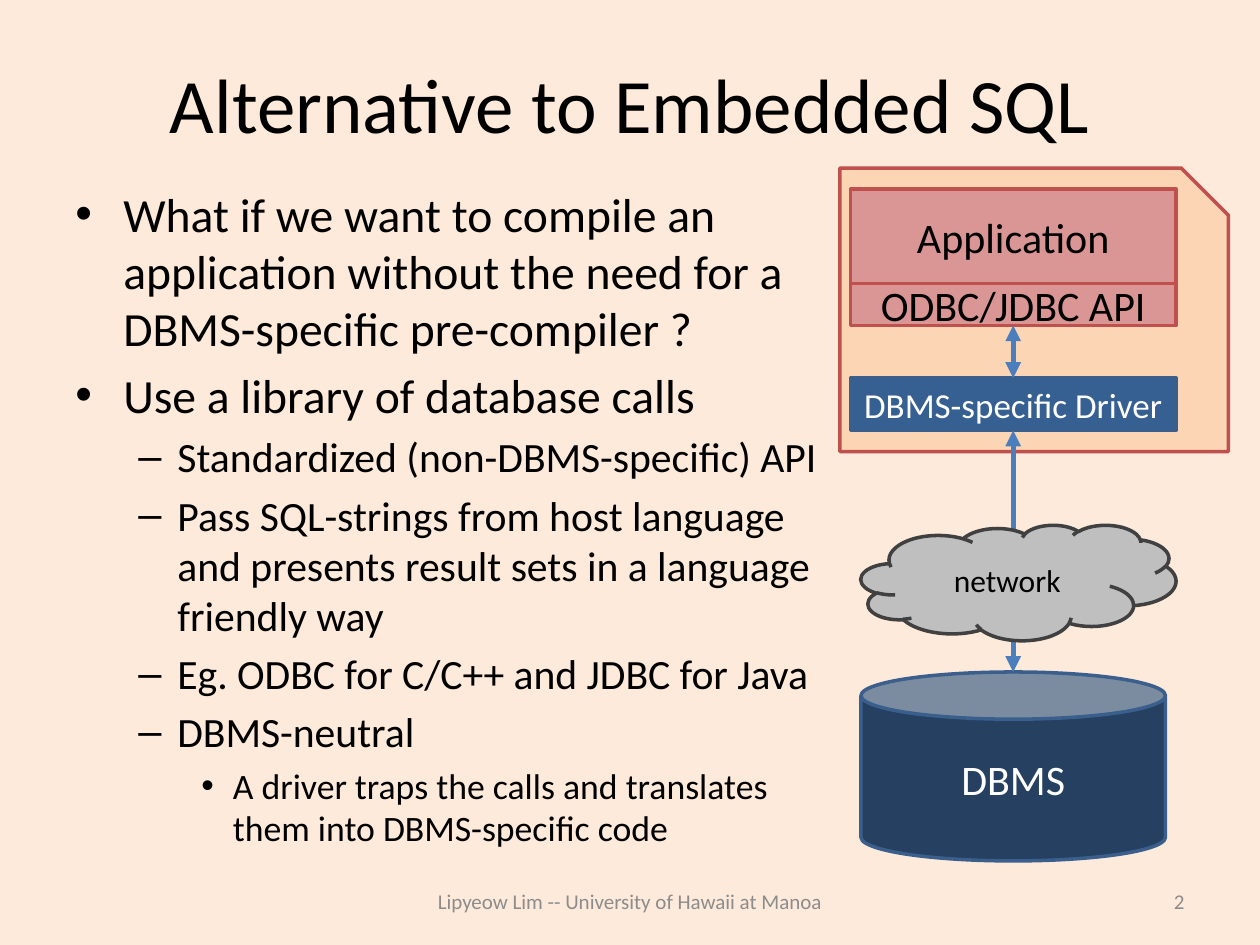
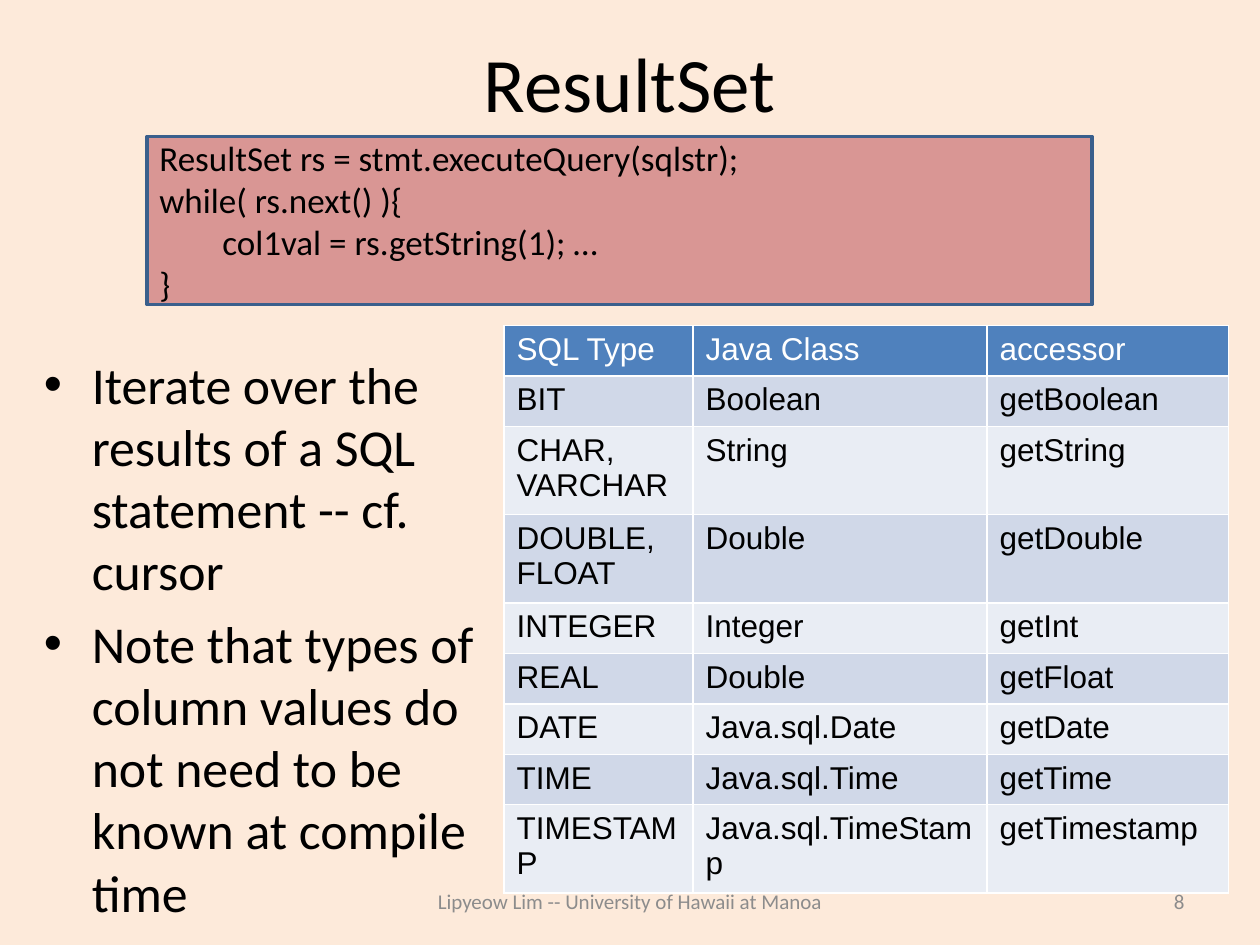
"""Build two slides on database call libraries and result sets."""
from dataclasses import dataclass
from typing import Any, Optional

from lxml import etree
from pptx import Presentation
from pptx import util as u
from pptx.dml.color import RGBColor
from pptx.enum import shapes, text
from pptx.oxml import ns

CREAM = RGBColor(0xFD, 0xEA, 0xDA)
PEACH = RGBColor(0xFC, 0xD5, 0xB5)
ROSE = RGBColor(0xD9, 0x96, 0x94)
RED = RGBColor(0xC0, 0x50, 0x4D)
BLUE = RGBColor(0x37, 0x60, 0x92)
NAVY = RGBColor(0x25, 0x40, 0x61)
EDGE = RGBColor(0x3A, 0x5F, 0x8C)
ARROW = RGBColor(0x4B, 0x7E, 0xBC)
HEAD = RGBColor(0x4F, 0x81, 0xBD)
BANDS = (RGBColor(0xD0, 0xD8, 0xE8), RGBColor(0xE9, 0xED, 0xF4))
SILVER = RGBColor(0xBF, 0xBF, 0xBF)
DARK = RGBColor(0x40, 0x40, 0x40)
GREY = RGBColor(0x8C, 0x8C, 0x8C)
BLACK = RGBColor(0, 0, 0)
WHITE = RGBColor(0xFF, 0xFF, 0xFF)

WIDE, HIGH = u.Inches(10), u.Inches(7.5)
COLS, ROWS = 120, 90
LEFT, MID, RIGHT = text.PP_ALIGN.LEFT, text.PP_ALIGN.CENTER, text.PP_ALIGN.RIGHT
FORM = shapes.MSO_SHAPE
FOOT = "Lipyeow Lim -- University of Hawaii at Manoa"


@dataclass
class Area:
    """A place on the grid, in columns and rows."""
    col: float
    row: float
    wide: float
    high: float

    def place(self) -> tuple[int, int, int, int]:
        """Return left, top, width and height as lengths."""
        return across(self.col), down(self.row), across(self.wide), down(self.high)


@dataclass
class Block:
    """A filled shape with an optional label."""
    form: Any
    area: Area
    fill: RGBColor
    edge: RGBColor
    label: str = ""
    size: float = 24
    ink: RGBColor = BLACK
    align: Any = MID


@dataclass
class Level:
    """The bullet sign and indents of an outline level."""
    sign: str
    left: float
    hang: float
    size: float


def across(cols: float) -> int:
    """Turn grid columns into a length."""
    return u.Emu(round(WIDE * cols / COLS))


def down(rows: float) -> int:
    """Turn grid rows into a length."""
    return u.Emu(round(HIGH * rows / ROWS))


def node(root: Any, tag: str, **attrs: str) -> Any:
    """Add a drawing element to a parent."""
    return etree.SubElement(root, ns.qn(f"a:{tag}"), attrs)


def write(frame: Any, words: str, size: float = 24, ink: RGBColor = BLACK,
          face: str = "Calibri", align: Any = LEFT, anchor: Any = None) -> None:
    """Fill a text frame, one paragraph per line."""
    frame.word_wrap = True
    if anchor is not None:
        frame.vertical_anchor = anchor
    for spot, line in enumerate(words.split("\n")):
        para = frame.paragraphs[0] if spot == 0 else frame.add_paragraph()
        para.alignment = align
        run = para.add_run()
        run.text = line
        font = run.font
        font.size, font.name, font.bold = u.Pt(size), face, False
        font.color.rgb = ink


def label(slide: Any, area: Area, words: str, **form: Any) -> Any:
    """Add a text box and return its frame."""
    frame = slide.shapes.add_textbox(*area.place()).text_frame
    write(frame, words, **form)
    return frame


def outline(slide: Any, area: Area, items: list[tuple[int, str]],
            levels: list[Level]) -> None:
    """Add a bulleted outline."""
    frame = label(slide, area, "\n".join(line for _, line in items))
    for spot, (para, (depth, _)) in enumerate(zip(frame.paragraphs, items)):
        level = levels[depth]
        props = para._p.get_or_add_pPr()
        props.set("marL", str(u.Inches(level.left)))
        props.set("indent", str(-u.Inches(level.hang)))
        node(props, "buFont", typeface="Arial")
        node(props, "buChar", char=level.sign)
        para.space_before = u.Pt(round(level.size * 0.2, 1) if spot else 0)
        para.runs[0].font.size = u.Pt(level.size)


def draw(slide: Any, block: Block) -> Any:
    """Add a filled shape and its label."""
    shape = slide.shapes.add_shape(block.form, *block.area.place())
    shape.shadow.inherit = False
    shape.fill.solid()
    shape.fill.fore_color.rgb = block.fill
    shape.line.color.rgb = block.edge
    shape.line.width = u.Pt(2)
    if block.label:
        write(shape.text_frame, block.label, size=block.size, ink=block.ink,
              align=block.align, anchor=text.MSO_ANCHOR.MIDDLE)
    return shape


def link(slide: Any, top: Any, low: Any, glue: bool = True) -> None:
    """Join two stacked shapes with a two-headed arrow."""
    mid = top.left + top.width // 2
    line = slide.shapes.add_connector(
        shapes.MSO_CONNECTOR.STRAIGHT, mid, top.top + top.height, mid, low.top)
    line.begin_connect(top, 2)
    if glue:
        line.end_connect(low, 0)
    line.line.color.rgb = ARROW
    line.line.width = u.Pt(3)
    for end in ("headEnd", "tailEnd"):
        node(line.line._get_or_add_ln(), end, type="triangle")
    node(line._element.spPr, "effectLst")


def grid(slide: Any, area: Area, widths: list[float], rows: list[str]) -> None:
    """Add a banded table with white rules."""
    table = slide.shapes.add_table(len(rows), len(widths), *area.place()).table
    for column, wide in zip(table.columns, widths):
        column.width = across(wide)
    for r, row in enumerate(rows):
        table.rows[r].height = down(area.high / len(rows))
        for c, words in enumerate(row.split("|")):
            cell = table.cell(r, c)
            for side in "LRTB":
                rule = node(cell._tc.get_or_add_tcPr(), f"ln{side}", w=str(u.Pt(1)))
                node(node(rule, "solidFill"), "srgbClr", val=str(WHITE))
            cell.fill.solid()
            cell.fill.fore_color.rgb = BANDS[(r - 1) % 2] if r else HEAD
            write(cell.text_frame, words, size=18, face="Arial",
                  ink=BLACK if r else WHITE)


def start(deck: Any, title: str, high: float, page: int) -> Any:
    """Add a slide with its title and footer."""
    slide = deck.slides.add_slide(deck.slide_layouts[6])
    mid = text.MSO_ANCHOR.MIDDLE
    label(slide, Area(6, 3.6, 108, high), title, size=44, align=MID, anchor=mid)
    label(slide, Area(36, 83.4, 48, 4.8), FOOT, size=12, ink=GREY,
          align=MID, anchor=mid)
    label(slide, Area(86, 83.4, 28, 4.8), str(page), size=12, ink=GREY,
          align=RIGHT, anchor=mid)
    return slide


def calls(deck: Any) -> None:
    """Build the slide on database call libraries."""
    slide = start(deck, "Alternative to Embedded SQL", 12.4, 2)
    draw(slide, Block(FORM.SNIP_1_RECTANGLE, Area(80, 16, 37, 27), PEACH, RED))
    levels = [Level("•", 0.38, 0.38, 27.2), Level("–", 0.81, 0.31, 23.8),
              Level("•", 1.25, 0.25, 20.4)]
    outline(slide, Area(6, 17, 75, 63.4), [
        (0, "What if we want to compile an application without the need for a "
            "DBMS-specific pre-compiler ?"),
        (0, "Use a library of database calls"),
        (1, "Standardized (non-DBMS-specific) API"),
        (1, "Pass SQL-strings from host language and presents result sets in a "
            "language friendly way"),
        (1, "Eg. ODBC for C/C++ and JDBC for Java"),
        (1, "DBMS-neutral"),
        (2, "A driver traps the calls and translates them into DBMS-specific code"),
    ], levels)
    _, driver, api, store = [draw(slide, block) for block in (
        Block(FORM.RECTANGLE, Area(81, 18, 31, 9), ROSE, RED, "Application"),
        Block(FORM.RECTANGLE, Area(81, 36, 31, 5), BLUE, EDGE,
              "DBMS-specific Driver", 20, WHITE),
        Block(FORM.RECTANGLE, Area(81, 27, 31, 4), ROSE, RED, "ODBC/JDBC API"),
        Block(FORM.CAN, Area(82, 64, 29, 18), NAVY, EDGE, "DBMS", ink=WHITE),
    )]
    link(slide, api, driver)
    link(slide, driver, store, glue=False)
    draw(slide, Block(FORM.CLOUD, Area(82, 50, 30, 11), SILVER, DARK, "network", 18))


def results(deck: Any) -> None:
    """Build the slide on result sets."""
    slide = start(deck, "ResultSet", 8.4, 8)
    outline(slide, Area(3, 33, 44, 49), [
        (0, "Iterate over the results of a SQL statement -- cf. cursor"),
        (0, "Note that types of column values do not need to be known at "
            "compile time"),
    ], [Level("•", 0.38, 0.38, 29.6)])
    code = ("ResultSet rs = stmt.executeQuery(sqlstr);\nwhile( rs.next() ){\n"
            "\tcol1val = rs.getString(1); …\n}")
    draw(slide, Block(FORM.RECTANGLE, Area(14, 13, 90, 16), ROSE, EDGE,
                      code, 20, align=LEFT))
    grid(slide, Area(48, 31, 69, 43.2), [18, 28, 23], [
        "SQL Type|Java Class|accessor",
        "BIT|Boolean|getBoolean",
        "CHAR, VARCHAR|String|getString",
        "DOUBLE, FLOAT|Double|getDouble",
        "INTEGER|Integer|getInt",
        "REAL|Double|getFloat",
        "DATE|Java.sql.Date|getDate",
        "TIME|Java.sql.Time|getTime",
        "TIMESTAMP|Java.sql.TimeStamp|getTimestamp",
    ])


def main() -> None:
    """Build and save the deck."""
    deck = Presentation()
    deck.slide_width, deck.slide_height = WIDE, HIGH
    back = deck.slide_master.background.fill
    back.solid()
    back.fore_color.rgb = CREAM
    calls(deck)
    results(deck)
    deck.save("out.pptx")


if __name__ == "__main__":
    main()
